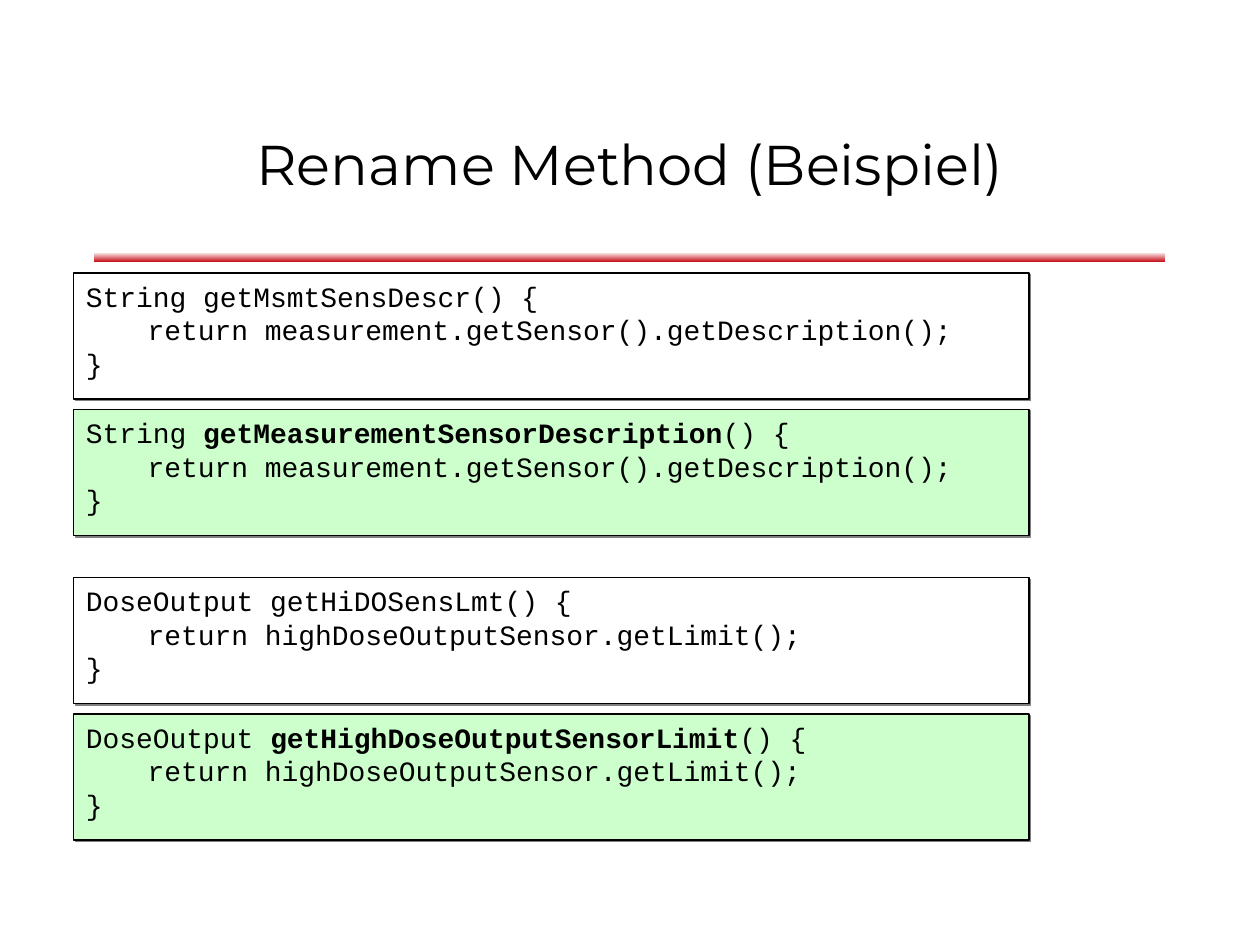
"""Build the slide on renaming methods, with code before and after."""
import pptx
import pptx.dml.color
import pptx.enum.shapes
import pptx.enum.text
import pptx.oxml.ns
import pptx.util
from lxml import etree

Pt = pptx.util.Pt
RECT = pptx.enum.shapes.MSO_SHAPE.RECTANGLE
ALIGN = pptx.enum.text.PP_ALIGN
ANCHOR = pptx.enum.text.MSO_ANCHOR
qn = pptx.oxml.ns.qn

TITLE = "Rename Method (Beispiel)"
PAIRS = [
    {"type": "String", "old": "getMsmtSensDescr",
     "new": "getMeasurementSensorDescription",
     "body": "measurement.getSensor().getDescription()"},
    {"type": "DoseOutput", "old": "getHiDOSensLmt",
     "new": "getHighDoseOutputSensorLimit",
     "body": "highDoseOutputSensor.getLimit()"},
]
LEFT, TOP, WIDTH, HEIGHT = 42, 156, 546, 72
STEP, PAIR_STEP = 78, 174
TAB = 35.3


def color(code):
    return pptx.dml.color.RGBColor.from_string(code)


def write(shape, lines, font, size, align=ALIGN.LEFT, anchor=ANCHOR.TOP):
    frame = shape.text_frame
    frame.word_wrap = True
    frame.vertical_anchor = anchor
    for i, runs in enumerate(lines):
        para = frame.add_paragraph() if i else frame.paragraphs[0]
        para.alignment = align
        if runs[0][0].startswith("\t"):
            props = para._p.get_or_add_pPr()
            tabs = etree.SubElement(props, qn("a:tabLst"))
            etree.SubElement(tabs, qn("a:tab"), pos=str(Pt(TAB)), algn="l")
        for text, bold in runs:
            run = para.add_run()
            run.text = text
            run.font.name = font
            run.font.size = Pt(size)
            run.font.bold = bold
            run.font.color.rgb = color("000000")


def add_rect(slide, *box):
    shape = slide.shapes.add_shape(RECT, *map(Pt, box))
    shape.shadow.inherit = False
    return shape


def add_rule(slide):
    rule = add_rect(slide, 54, 144, 612, 6)
    rule.line.fill.background()
    rule.fill.gradient()
    rule.fill.gradient_angle = 90
    for stop, code in zip(rule.fill.gradient_stops, ("C5000B", "FFFFFF")):
        stop.color.rgb = color(code)


def add_code(slide, top, fill, lines):
    box = add_rect(slide, LEFT, top, WIDTH, HEIGHT)
    box.fill.solid()
    box.fill.fore_color.rgb = color(fill)
    box.line.color.rgb = color("000000")
    box.line.width = Pt(0.75)
    effects = box._element.spPr.find(qn("a:effectLst"))
    shade = etree.SubElement(effects, qn("a:outerShdw"), blurRad="0",
                             dist=str(Pt(1.4)), dir="2700000")
    etree.SubElement(shade, qn("a:srgbClr"), val="808080")
    write(box, lines, font="Courier New", size=16)


def main():
    deck = pptx.Presentation()
    deck.slide_width, deck.slide_height = Pt(720), Pt(540)
    slide = deck.slides.add_slide(deck.slide_layouts[6])
    add_rule(slide)
    title = slide.shapes.add_textbox(Pt(54), Pt(48), Pt(612), Pt(90))
    write(title, [[(TITLE, False)]], font="Montserrat", size=32,
          align=ALIGN.CENTER, anchor=ANCHOR.MIDDLE)
    for i, pair in enumerate(PAIRS):
        top = TOP + i * PAIR_STEP
        kind = pair["type"] + " "
        tail = [[(f"\treturn {pair['body']};", False)], [("}", False)]]
        before = [(f"{kind}{pair['old']}() {{", False)]
        after = [(kind, False), (pair["new"], True), ("() {", False)]
        add_code(slide, top, "FFFFFF", [before] + tail)
        add_code(slide, top + STEP, "CCFFCC", [after] + tail)
    deck.save("out.pptx")


if __name__ == "__main__":
    main()
